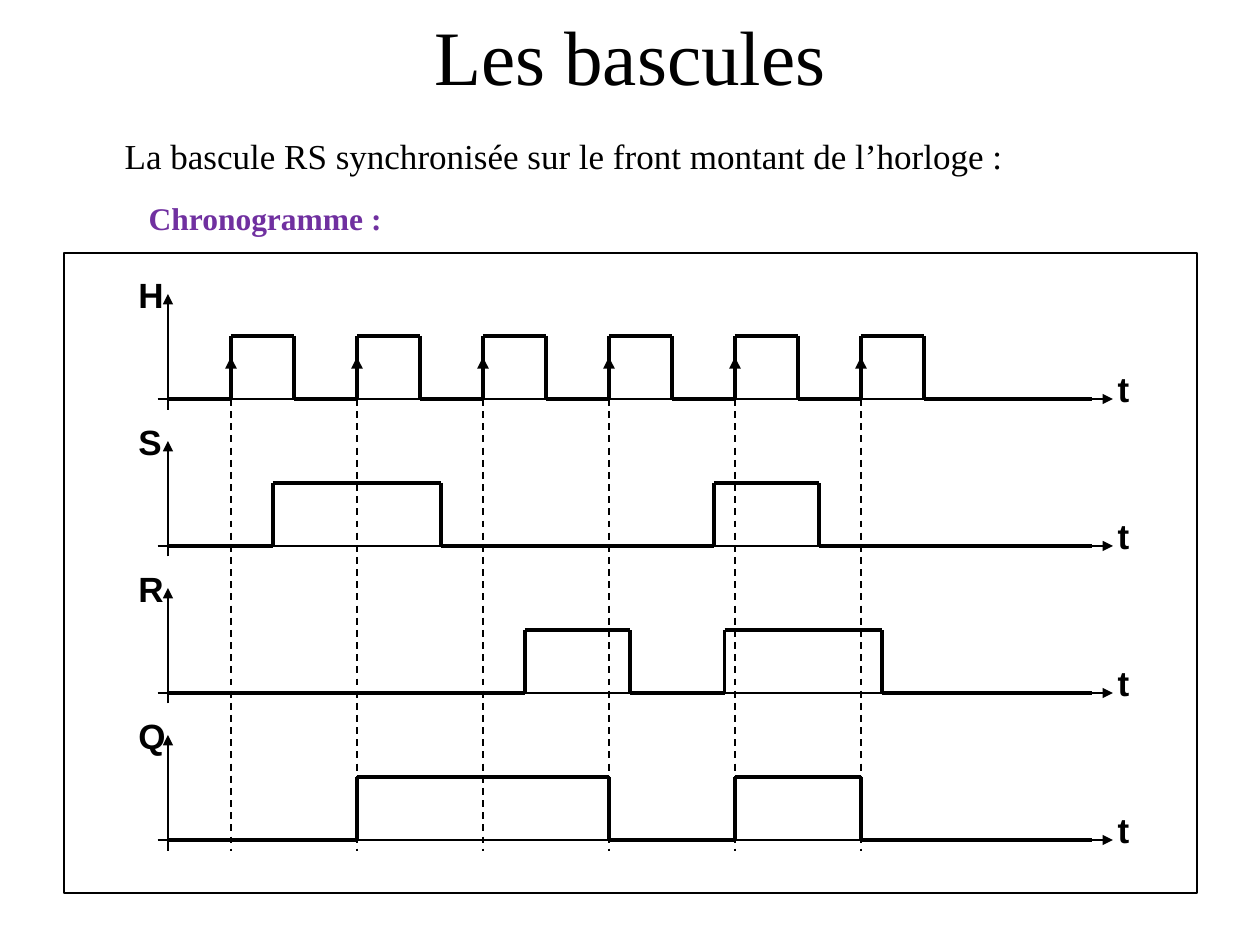
from itertools import pairwise

from lxml import etree
from pptx import Presentation
from pptx.dml.color import RGBColor
from pptx.enum.dml import MSO_LINE
from pptx.enum.shapes import MSO_CONNECTOR, MSO_SHAPE
from pptx.enum.text import MSO_ANCHOR, PP_ALIGN
from pptx.oxml.ns import qn
from pptx.util import Inches, Pt

BLACK = RGBColor(0x00, 0x00, 0x00)
PURPLE = RGBColor(0x70, 0x30, 0xA0)
STRAIGHT = MSO_CONNECTOR.STRAIGHT
RECTANGLE = MSO_SHAPE.RECTANGLE
DASH = MSO_LINE.DASH
TOP, MIDDLE = MSO_ANCHOR.TOP, MSO_ANCHOR.MIDDLE
LEFT, CENTER = PP_ALIGN.LEFT, PP_ALIGN.CENTER

CELLS_PER_INCH = 12
ORIGIN = 16
TRACE_END = 104
AXIS_START, AXIS_END = 15, 106
FIRST_BASELINE, ROW_STEP = 38, 14
PULSE_HEIGHT = 6
CLOCK_EDGES = range(22, 83, 12)
SIGNALS = {
    "H": [(edge, edge + 6) for edge in CLOCK_EDGES],
    "S": [(26, 42), (68, 78)],
    "R": [(50, 60), (69, 84)],
    "Q": [(34, 58), (70, 82)],
}

SERIF = {"name": "Times New Roman", "bold": False}
TITLE_FONT = {**SERIF, "size": Pt(44)}
SUBJECT_FONT = {**SERIF, "size": Pt(20)}
HEADING_FONT = {**SERIF, "size": Pt(18), "bold": True}
LABEL_FONT = {"name": "Arial", "size": Pt(20), "bold": True}


def grid(cells):
    return Inches(cells / CELLS_PER_INCH)


def add_text(slide, text, box, font, color=BLACK, align=LEFT, anchor=TOP, indent=0.1, wrap=True):
    frame = slide.shapes.add_textbox(*box).text_frame
    frame_format = {"word_wrap": wrap, "vertical_anchor": anchor, "margin_left": Inches(indent)}
    for name, value in frame_format.items():
        setattr(frame, name, value)
    paragraph = frame.paragraphs[0]
    paragraph.alignment = align
    run = paragraph.add_run()
    run.text = text
    for name, value in font.items():
        setattr(run.font, name, value)
    run.font.color.rgb = color


def add_label(slide, text, column, row):
    box = [grid(cells) for cells in (column, row, 4, 4)]
    add_text(slide, text, box, LABEL_FONT, align=CENTER, anchor=MIDDLE, wrap=False)


def add_line(slide, start, end, width=1, dash=None, arrow=False):
    ends = [grid(cells) for cells in (*start, *end)]
    connector = slide.shapes.add_connector(STRAIGHT, *ends)
    connector.line.color.rgb = BLACK
    connector.line.width = Pt(width)
    if dash is not None:
        connector.line.dash_style = dash
    properties = connector.element.spPr
    if arrow:
        etree.SubElement(properties.find(qn("a:ln")), qn("a:tailEnd"), type="triangle")
    etree.SubElement(properties, qn("a:effectLst"))


def add_axes(slide, signal, baseline):
    add_line(slide, (ORIGIN, baseline + 1), (ORIGIN, baseline - 10), arrow=True)
    add_line(slide, (AXIS_START, baseline), (AXIS_END, baseline), arrow=True)
    add_label(slide, "t", AXIS_END - 1, baseline - 3)
    add_label(slide, signal, ORIGIN - 4, baseline - 12)


def add_trace(slide, pulses, baseline):
    high = baseline - PULSE_HEIGHT
    points = [(ORIGIN, baseline)]
    for rise, fall in pulses:
        points += [(rise, baseline), (rise, high), (fall, high), (fall, baseline)]
    points.append((TRACE_END, baseline))
    for start, end in pairwise(points):
        add_line(slide, start, end, width=2.25)


def add_clock_edge(slide, column, last_baseline):
    foot = (column, FIRST_BASELINE)
    add_line(slide, foot, (column, last_baseline + 1), dash=DASH)
    add_line(slide, foot, (column, FIRST_BASELINE - 4), width=2.25, arrow=True)


def add_diagram_frame(slide):
    border = slide.shapes.add_shape(
        RECTANGLE, Inches(0.51), Inches(2.01), Inches(8.99), Inches(5.08)
    )
    border.shadow.inherit = False
    border.fill.background()
    border.line.color.rgb = BLACK
    border.line.width = Pt(1)


def main():
    deck = Presentation()
    deck.slide_width, deck.slide_height = Inches(10), Inches(7.5)
    slide = deck.slides.add_slide(deck.slide_layouts[6])

    title_box = [Inches(length) for length in (0.5, 0, 9, 0.87)]
    subject_box = [Inches(length) for length in (0.39, 1.02, 9, 0.77)]
    heading_box = [Inches(length) for length in (0.08, 1.53, 9, 0.58)]
    add_text(slide, "Les bascules", title_box, TITLE_FONT, align=CENTER, anchor=MIDDLE)
    add_text(
        slide,
        "La bascule RS synchronisée sur le front montant de l’horloge :",
        subject_box,
        SUBJECT_FONT,
        indent=0.6,
    )
    add_text(slide, "Chronogramme :", heading_box, HEADING_FONT, color=PURPLE, indent=1.1)

    add_diagram_frame(slide)
    for row, (signal, pulses) in enumerate(SIGNALS.items()):
        baseline = FIRST_BASELINE + row * ROW_STEP
        add_axes(slide, signal, baseline)
        add_trace(slide, pulses, baseline)
    for edge in CLOCK_EDGES:
        add_clock_edge(slide, edge, baseline)

    deck.save("out.pptx")


if __name__ == "__main__":
    main()
